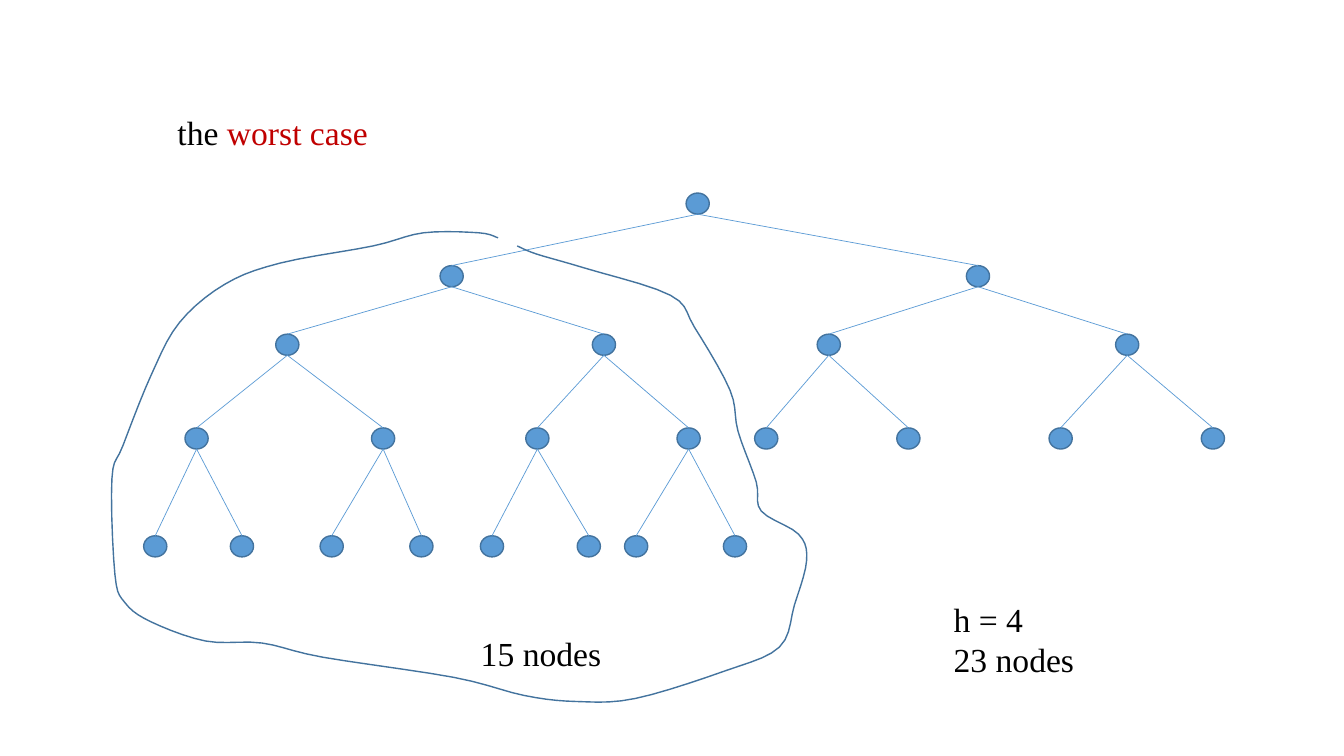
from collections import namedtuple
from pptx import Presentation
from pptx.dml.color import RGBColor as Rgb
from pptx.enum.shapes import MSO_CONNECTOR as Link, MSO_SHAPE as Kind
from pptx.enum.text import MSO_ANCHOR as Anchor, PP_ALIGN as Align
from pptx.util import Inches, Pt
from lxml import etree

Theme = namedtuple("Theme", "node edge ink alert font size thin rim")
LOOK = Theme(node=Rgb.from_string("5B9BD5"), edge=Rgb.from_string("43739E"),
             ink=Rgb.from_string("000000"), alert=Rgb.from_string("C00000"),
             font="Times New Roman", size=Pt(24), thin=Pt(0.5), rim=Pt(1))

CELL = Inches(0.1)  # one column or row of the grid
NODE_W, NODE_H = 2.3, 2.1
DRAWING = "http://schemas.openxmlformats.org/drawingml/2006/main"

# Row of each tree level and the columns of its nodes, left to right
LEVELS = [
    (1.2, [55.2]),
    (8.4, [30.8, 83]),
    (15.2, [14.5, 45.9, 68.2, 97.8]),
    (24.5, [5.5, 24, 39.3, 54.3, 62, 76.1, 91.2, 106.3]),
    (35.2, [1.4, 10, 18.9, 27.8, 34.8, 44.4, 49.1, 58.9]),
]

# Bends of the loop around the left subtree (column, row)
LOOP = [
    (38.4, 0.6), (36.5, 0.1), (31, 0.1), (26, 1.4), (16.8, 3.1),
    (11.3, 5.2), (6.8, 9), (4, 14.2), (1.2, 21.2), (0.1, 24.5),
    (0.4, 34), (1.4, 36.8), (4, 38.7), (9.4, 40.6), (15, 40.8),
    (21, 42.2), (34, 44.2), (41, 46), (46.2, 46.6), (52, 46.3),
    (60.8, 43.6), (66.3, 41.2), (67.8, 37), (69, 32.6), (68.2, 30),
    (64.5, 27.7), (64, 24.8), (62.2, 19.8), (61.4, 15.7), (57.9, 9.5),
    (55.5, 6.3), (47, 3.6), (42.2, 2.2), (40.3, 1.4),
]
STEPS = 5  # pieces between two bends


def grid(*vals):
    return [round(v * CELL) for v in vals]


def put(obj, fmt):
    for key, val in fmt.items():
        setattr(obj, key, val)


def draw_edge(slide, start, end):
    edge = slide.shapes.add_connector(Link.STRAIGHT, *grid(*start, *end))
    put(edge.line, {"width": LOOK.thin})
    edge.line.color.rgb = LOOK.node
    etree.SubElement(edge.element.spPr, "{%s}effectLst" % DRAWING)


def draw_rim(shape):
    shape.shadow.inherit = False
    shape.line.color.rgb = LOOK.edge
    shape.line.width = LOOK.rim


def draw_node(slide, x, y):
    box = grid(x - NODE_W / 2, y - NODE_H / 2, NODE_W, NODE_H)
    node = slide.shapes.add_shape(Kind.OVAL, *box)
    node.fill.solid()
    node.fill.fore_color.rgb = LOOK.node
    draw_rim(node)


def draw_tree(slide, left, top):
    above = []
    for row, cols in LEVELS:
        level = [(left + col, top + row) for col in cols]
        for i, (x, y) in enumerate(level):
            draw_node(slide, x, y)
            # Edge from the foot of the parent to the top of the child
            if above:
                px, py = above[i // 2]
                draw_edge(slide, (px, py + NODE_H / 2), (x, y - NODE_H / 2))
        above = level


def blend(a, b, c, d, t):
    """Smooth curve from b to c, led by the bends a and d."""
    return b + t / 2 * (c - a + t * (2 * a - 5 * b + 4 * c - d
                                     + t * (3 * (b - c) + d - a)))


def draw_loop(slide, left, top):
    bends = [LOOP[0], *LOOP, LOOP[-1]]
    spots = []
    for four in zip(bends, bends[1:], bends[2:], bends[3:]):
        xs, ys = zip(*four)
        for step in range(STEPS):
            t = step / STEPS
            spots.append(grid(left + blend(*xs, t), top + blend(*ys, t)))
    end_x, end_y = LOOP[-1]
    spots.append(grid(left + end_x, top + end_y))
    pen = slide.shapes.build_freeform(*spots[0])
    pen.add_line_segments(spots[1:], close=False)
    loop = pen.convert_to_shape()
    loop.fill.background()
    draw_rim(loop)


def write(shape, box, lines):
    put(shape, dict(zip(("left", "top", "width", "height"), grid(*box))))
    frame = shape.text_frame
    put(frame, {"word_wrap": True, "vertical_anchor": Anchor.TOP})
    for i, line in enumerate(lines):
        para = frame.add_paragraph() if i else frame.paragraphs[0]
        para.alignment = Align.LEFT
        for text, color in line:
            run = para.add_run()
            run.text = text
            put(run.font, {"name": LOOK.font, "size": LOOK.size})
            run.font.color.rgb = color


def note(slide, box, *texts):
    shape = slide.shapes.add_textbox(*grid(*box))
    write(shape, box, [[(text, LOOK.ink)] for text in texts])


def main():
    deck = Presentation()
    put(deck, {"slide_width": Inches(13.33), "slide_height": Inches(7.5)})
    slide = deck.slides.add_slide(deck.slide_layouts[5])
    # Tree and the loop round its left half
    draw_tree(slide, 14, 19)
    draw_loop(slide, 11, 23)
    # Counts
    note(slide, (46.7, 62.3, 15.4, 5), "15 nodes")
    note(slide, (93.6, 58.9, 14.2, 9.1), "h = 4", "23 nodes")
    # Title
    write(slide.shapes.title, (16.6, 10.6, 21.9, 5),
          [[("the ", LOOK.ink), ("worst case", LOOK.alert)]])
    deck.save("out.pptx")


if __name__ == "__main__":
    main()
